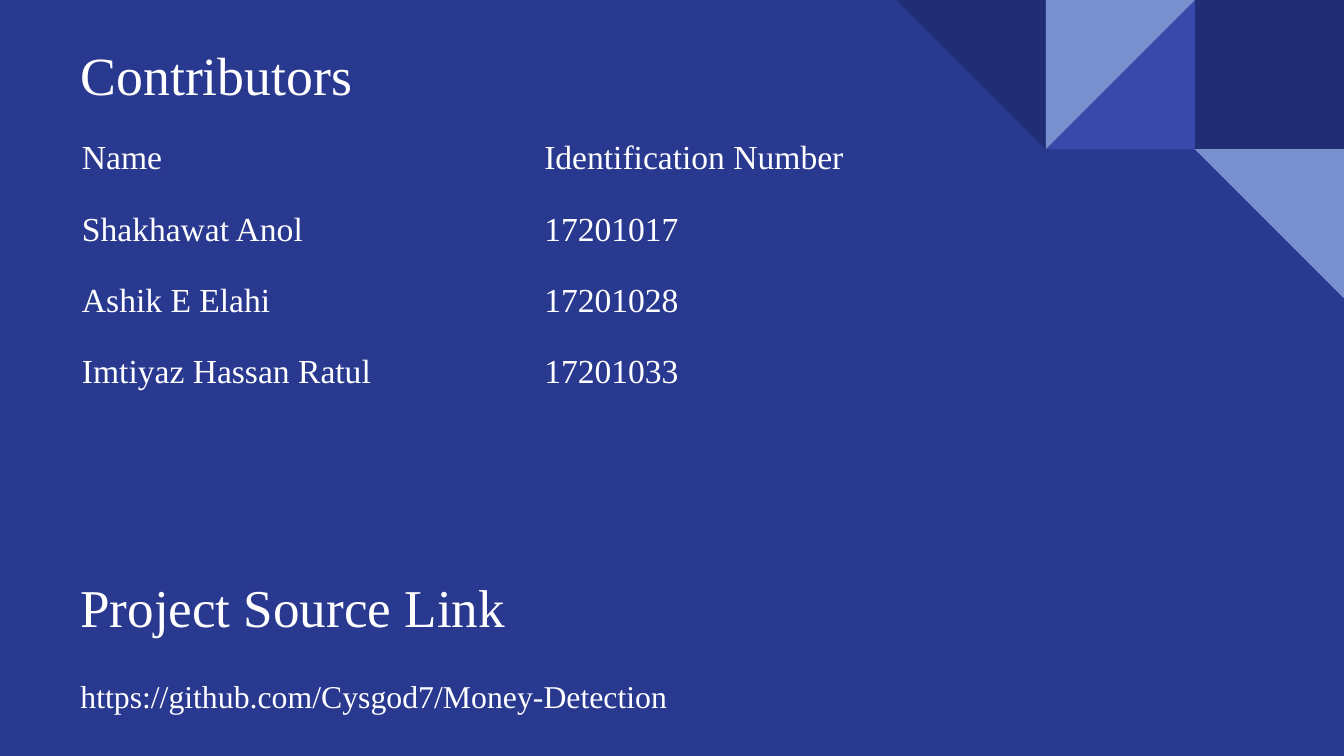
from pptx import Presentation
from pptx import util as u
from pptx.dml.color import RGBColor
from pptx.enum import shapes, text
from pptx.oxml.ns import qn

COLORS = {"bg": "2A3990", "navy": "212D74", "indigo": "3949AB",
          "light": "7890CD", "white": "FFFFFF"}
FONT = "Times New Roman"
NO_STYLE = "{2D5ABB26-0587-4C30-8999-92F81FD0307C}"


def add_run(p, content, size):
    r = p.add_run()
    r.text = content
    r.font.name = FONT
    r.font.size = u.Pt(size)
    r.font.color.rgb = RGBColor.from_string(COLORS["white"])


def set_frame(tf, anchor):
    tf.word_wrap = True
    tf.auto_size = text.MSO_AUTO_SIZE.NONE
    tf.vertical_anchor = anchor
    tf.margin_left = tf.margin_right = u.Inches(0.1)
    tf.margin_top = tf.margin_bottom = u.Inches(0.1)


prs = Presentation()
prs.slide_width = u.Inches(10)
prs.slide_height = u.Inches(10 * 9 / 16)
s = prs.slides.add_slide(prs.slide_layouts[5])
s.background.fill.solid()
s.background.fill.fore_color.rgb = RGBColor.from_string(COLORS["bg"])

tile = 1.11
square = shapes.MSO_SHAPE.RECTANGLE
triangle = shapes.MSO_SHAPE.RIGHT_TRIANGLE
tiles = [
    (square, 1, 0, 0, "navy"),
    (triangle, 2, 0, 270, "indigo"),
    (triangle, 2, 0, 90, "light"),
    (triangle, 3, 0, 180, "navy"),
    (triangle, 1, 1, 180, "light"),
]
for kind, from_right, row, rotation, color in tiles:
    sp = s.shapes.add_shape(kind, u.Inches(10 - from_right * tile), u.Inches(row * tile),
                            u.Inches(tile), u.Inches(tile))
    sp.rotation = rotation
    sp.shadow.inherit = False
    sp.fill.solid()
    sp.fill.fore_color.rgb = RGBColor.from_string(COLORS[color])
    sp.line.fill.background()

title = s.shapes.title
title.left, title.top = u.Inches(0.5), u.Inches(0.26)
title.width, title.height = u.Inches(8.99), u.Inches(0.63)
set_frame(title.text_frame, text.MSO_ANCHOR.BOTTOM)
p = title.text_frame.paragraphs[0]
p.alignment = text.PP_ALIGN.LEFT
add_run(p, "Contributors", 28.8)

rows = [
    ("Name", "Identification Number"),
    ("Shakhawat Anol", "17201017"),
    ("Ashik E Elahi", "17201028"),
    ("Imtiyaz Hassan Ratul", "17201033"),
]
widths = [3.44, 3.7]
row_height = 0.53
table = s.shapes.add_table(len(rows), len(widths), u.Inches(0.51), u.Inches(0.9),
                           u.Inches(sum(widths)), u.Inches(row_height * len(rows))).table
table.first_row = table.horz_banding = False
table._tbl.tblPr.find(qn("a:tableStyleId")).text = NO_STYLE
for column, width in zip(table.columns, widths):
    column.width = u.Inches(width)
for i, values in enumerate(rows):
    table.rows[i].height = u.Inches(row_height)
    for j, value in enumerate(values):
        cell = table.cell(i, j)
        cell.fill.background()
        cell.margin_left = cell.margin_right = u.Inches(0.1)
        cell.margin_top = cell.margin_bottom = u.Inches(0.1)
        p = cell.text_frame.paragraphs[0]
        p.line_spacing = 1.15
        add_run(p, value, 18)

link = s.shapes.add_textbox(u.Inches(0.5), u.Inches(4.17), u.Inches(8.99), u.Inches(1.45))
tf = link.text_frame
set_frame(tf, text.MSO_ANCHOR.TOP)
add_run(tf.paragraphs[0], "Project Source Link", 28.5)
p = tf.add_paragraph()
p.space_before = u.Pt(21)
add_run(p, "https://github.com/Cysgod7/Money-Detection", 17)

prs.save("out.pptx")
